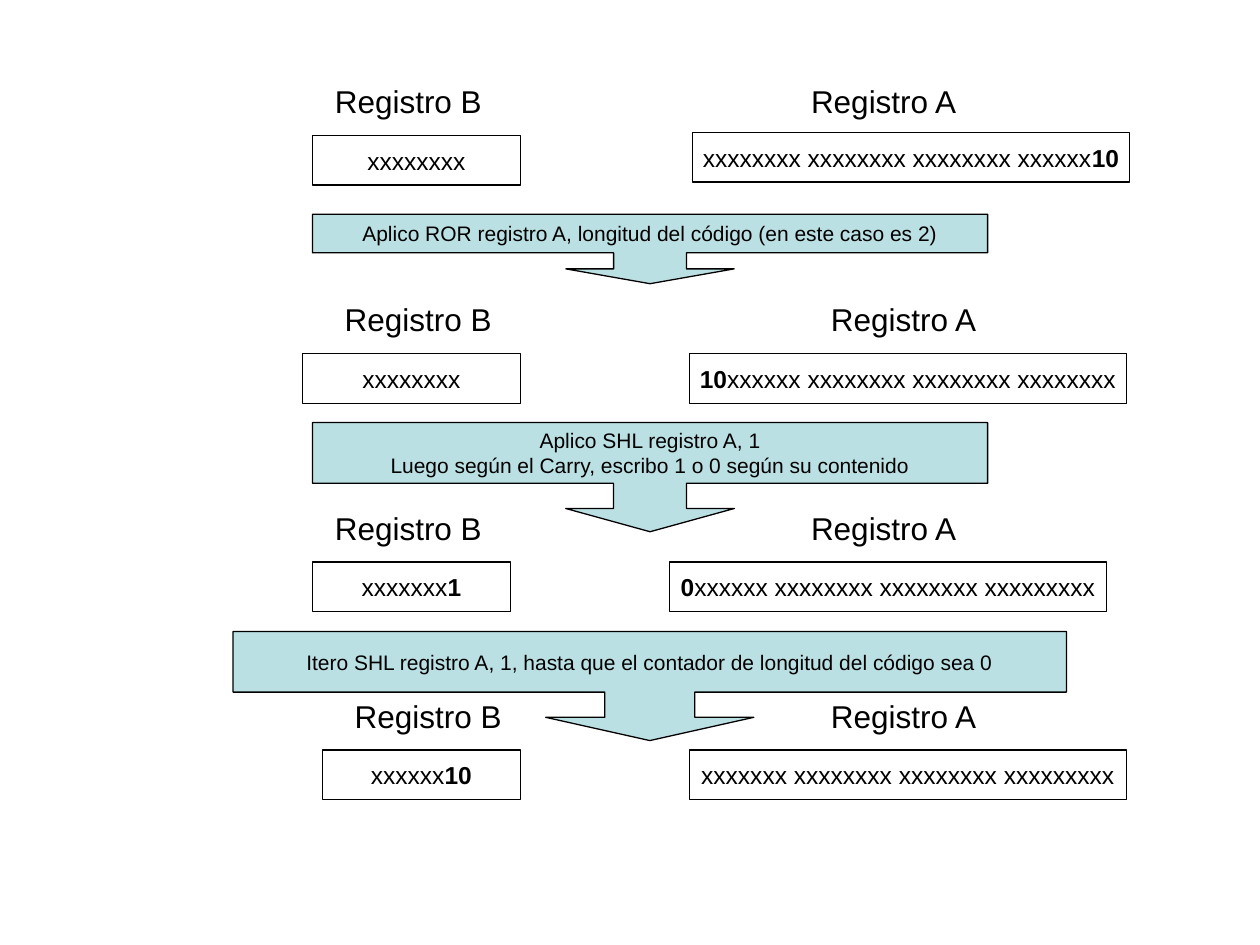
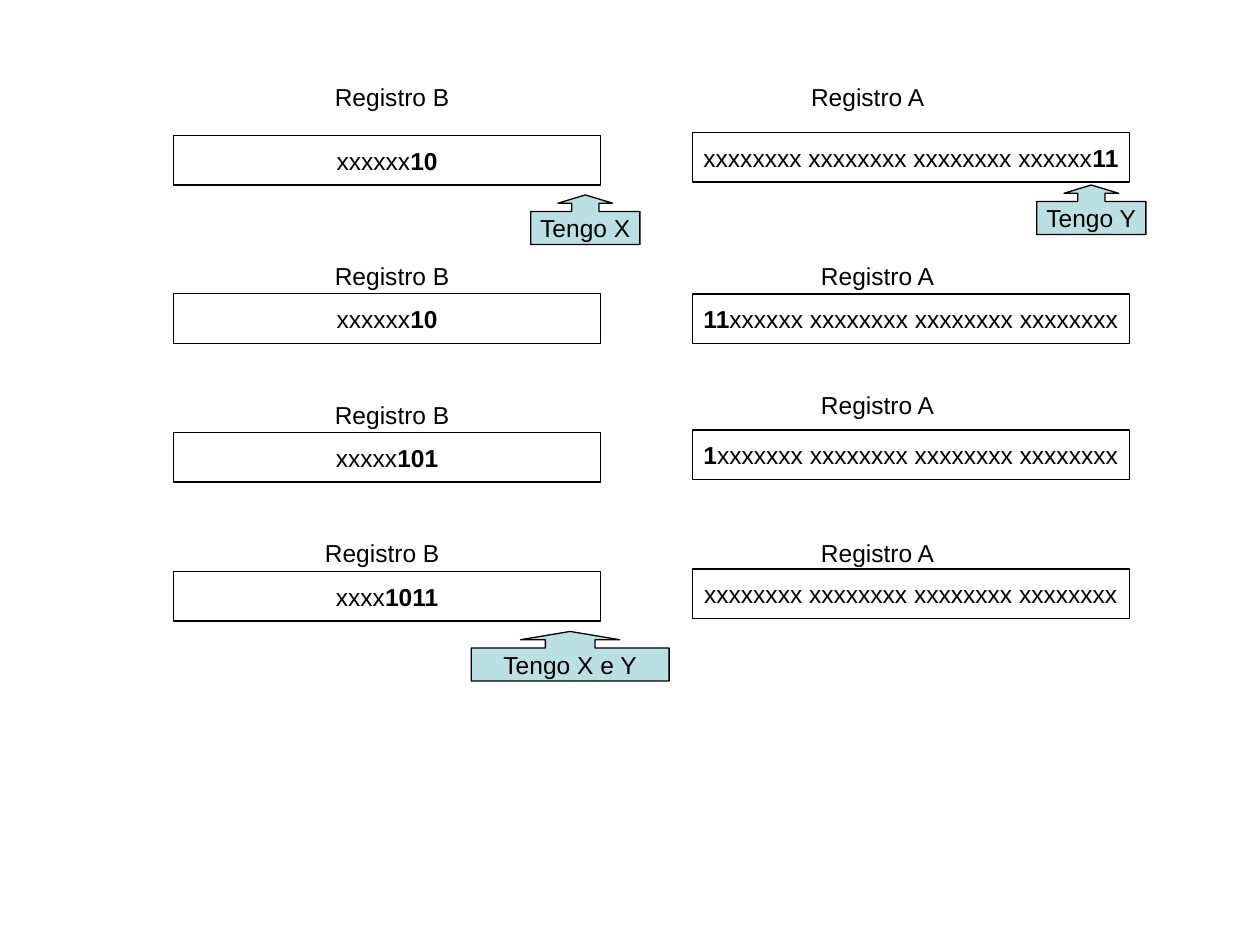
from itertools import groupby

from pptx import Presentation
from pptx.dml.color import RGBColor
from pptx.enum.shapes import MSO_SHAPE
from pptx.enum.text import MSO_ANCHOR, MSO_AUTO_SIZE, PP_ALIGN
from pptx.util import Cm, Pt

BLACK = RGBColor(0x00, 0x00, 0x00)
PALE_TEAL = RGBColor(0xBB, 0xE0, 0xE3)
BOX_HEIGHT = 1.0
REGISTER_SIZE = 14
LABEL_FRAME = {"word_wrap": False, "auto_size": MSO_AUTO_SIZE.SHAPE_TO_FIT_TEXT}
BOX_FRAME = {"word_wrap": False, "vertical_anchor": MSO_ANCHOR.MIDDLE}
DOWN = MSO_SHAPE.DOWN_ARROW_CALLOUT
UP = MSO_SHAPE.UP_ARROW_CALLOUT


def write_text(shape, lines, size, alignment, frame_format):
    frame = shape.text_frame
    for name, value in frame_format.items():
        setattr(frame, name, value)
    for index, runs in enumerate(lines):
        paragraph = frame.add_paragraph() if index else frame.paragraphs[0]
        paragraph.alignment = alignment
        for text, bold in runs:
            run = paragraph.add_run()
            run.text = text
            font_format = {"name": "Arial", "size": Pt(size), "bold": bold}
            for name, value in font_format.items():
                setattr(run.font, name, value)
            run.font.color.rgb = BLACK


def add_outlined_shape(slide, kind, place, lines, size):
    shape = slide.shapes.add_shape(kind, *map(Cm, place))
    shape.shadow.inherit = False
    shape.fill.background()
    shape.line.color.rgb = BLACK
    shape.line.width = Pt(0.75)
    write_text(shape, lines, size, PP_ALIGN.CENTER, BOX_FRAME)
    return shape


slides = [
    {
        "kind": DOWN,
        "label_size": 18,
        "label_extent": (3.55, 1.02),
        "callout_size": 12,
        "registers": [
            ("B", 6.5, 1.52, 6.3, 2.73, 4.19, "xxxxxxxx"),
            ("A", 16.1, 1.52, 13.96, 2.67, 8.81, "xxxxxxxx xxxxxxxx xxxxxxxx xxxxxx10"),
            ("B", 6.7, 5.92, 6.1, 7.13, 4.39, "xxxxxxxx"),
            ("A", 16.5, 5.92, 13.9, 7.13, 8.81, "10xxxxxx xxxxxxxx xxxxxxxx xxxxxxxx"),
            ("B", 6.5, 10.13, 6.3, 11.33, 3.99, "xxxxxxx1"),
            ("A", 16.1, 10.13, 13.5, 11.33, 8.81, "0xxxxxx xxxxxxxx xxxxxxxx xxxxxxxxx"),
            ("B", 6.9, 13.92, 6.5, 15.12, 3.99, "xxxxxx10"),
            ("A", 16.5, 13.92, 13.9, 15.12, 8.81, "xxxxxxx xxxxxxxx xxxxxxxx xxxxxxxxx"),
        ],
        "callouts": [
            ((6.3, 4.32, 13.61, 1.4), (1.048, 1.212, 0.213, 0.556),
             ["Aplico ROR registro A, longitud del código (en este caso es 2)"]),
            ((6.3, 8.52, 13.61, 2.2), (0.668, 0.773, 0.213, 0.556),
             ["Aplico SHL registro A, 1",
              "Luego según el Carry, escribo 1 o 0 según su contenido"]),
            ((4.7, 12.73, 16.8, 2.2), (0.824, 0.954, 0.213, 0.556),
             ["Itero SHL registro A, 1, hasta que el contador de longitud del código sea 0"]),
        ],
    },
    {
        "kind": UP,
        "label_size": 14,
        "label_extent": (2.9, 0.86),
        "callout_size": 14,
        "registers": [
            ("B", 6.5, 1.52, 3.5, 2.73, 8.61, "xxxxxx10"),
            ("A", 16.1, 1.52, 13.96, 2.67, 8.81, "xxxxxxxx xxxxxxxx xxxxxxxx xxxxxx11"),
            ("B", 6.5, 5.13, 3.5, 5.92, 8.61, "xxxxxx10"),
            ("A", 16.3, 5.13, 13.96, 5.93, 8.81, "11xxxxxx xxxxxxxx xxxxxxxx xxxxxxxx"),
            ("B", 6.5, 7.93, 3.5, 8.72, 8.61, "xxxxx101"),
            ("A", 16.3, 7.73, 13.96, 8.67, 8.81, "1xxxxxxx xxxxxxxx xxxxxxxx xxxxxxxx"),
            ("B", 6.3, 10.72, 3.5, 11.52, 8.61, "xxxx1011"),
            ("A", 16.3, 10.72, 13.96, 11.47, 8.81, "xxxxxxxx xxxxxxxx xxxxxxxx xxxxxxxx"),
        ],
        "callouts": [
            ((9.5, 12.73, 3.99, 1.0), (1.0, 1.0, 0.167, 0.667), ["Tengo X e Y"]),
            ((10.7, 3.93, 2.2, 1.0), (0.55, 0.55, 0.167, 0.667), ["Tengo X"]),
            ((20.9, 3.73, 2.2, 1.0), (0.55, 0.55, 0.167, 0.667), ["Tengo Y"]),
        ],
    },
]

presentation = Presentation()
presentation.slide_width = Cm(25.4)
presentation.slide_height = Cm(19.05)

for content in slides:
    slide = presentation.slides.add_slide(presentation.slide_layouts[6])
    for letter, label_left, label_top, left, top, width, bits in content["registers"]:
        bit_runs = [("".join(group), known) for known, group in groupby(bits, str.isdigit)]
        add_outlined_shape(slide, MSO_SHAPE.RECTANGLE, (left, top, width, BOX_HEIGHT),
                           [bit_runs], REGISTER_SIZE)
        label_place = (label_left, label_top, *content["label_extent"])
        label = slide.shapes.add_textbox(*map(Cm, label_place))
        write_text(label, [[(f"Registro {letter}", False)]], content["label_size"],
                   PP_ALIGN.LEFT, LABEL_FRAME)
    for place, adjustments, lines in content["callouts"]:
        callout = add_outlined_shape(slide, content["kind"], place,
                                     [[(line, False)] for line in lines],
                                     content["callout_size"])
        callout.fill.solid()
        callout.fill.fore_color.rgb = PALE_TEAL
        for index, value in enumerate(adjustments):
            callout.adjustments[index] = value

presentation.save("out.pptx")
